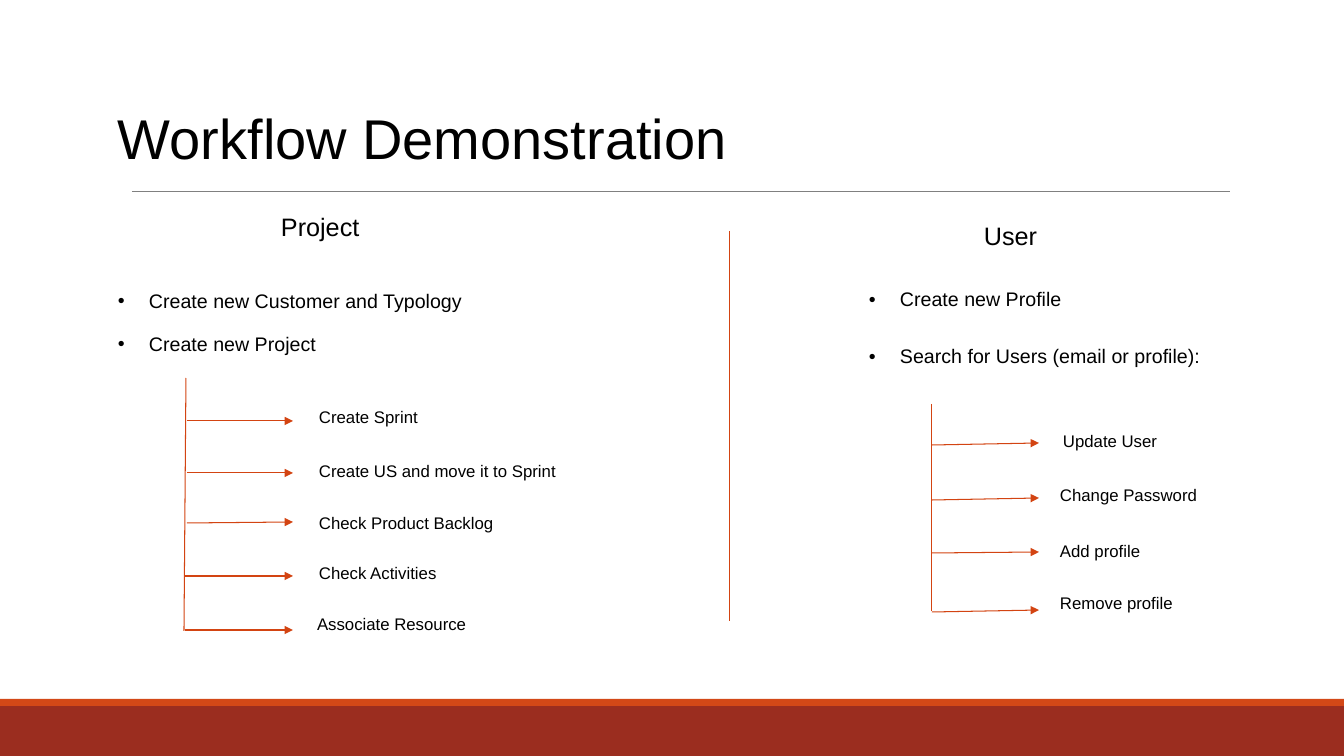
from lxml import etree
from pptx import Presentation
from pptx.dml.color import RGBColor
from pptx.enum.shapes import MSO_CONNECTOR, MSO_SHAPE
from pptx.enum.text import MSO_ANCHOR, MSO_AUTO_SIZE, PP_ALIGN
from pptx.oxml.ns import qn
from pptx.util import Pt

STRAIGHT = MSO_CONNECTOR.STRAIGHT
RECT = MSO_SHAPE.RECTANGLE
MIDDLE = MSO_ANCHOR.MIDDLE
NO_FIT = MSO_AUTO_SIZE.NONE
LEFT = PP_ALIGN.LEFT

BLACK = RGBColor(0x00, 0x00, 0x00)
GREY = RGBColor(0x80, 0x80, 0x80)
ORANGE = RGBColor(0xD3, 0x44, 0x12)
BRIGHT = RGBColor(0xD3, 0x48, 0x17)
BRICK = RGBColor(0x9B, 0x2D, 0x1F)

WIDE, HIGH = 1344, 756
SCALE = 12192000 / WIDE
INDENT = 31
LABEL_H = 51

TITLE = ("Workflow Demonstration", (118, 71, 1109, 140))
BANDS = [((0, 706, WIDE, 50), BRICK), ((0, 699, WIDE, 7), BRIGHT)]
RULES = [((132, 191, 1230, 191), GREY, 0.5), ((730, 231, 730, 621), ORANGE, 0.75)]
FLOWS = [
    {
        "head": ("Project", (281, 198, 290, 61)),
        "items": ["Create new Customer and Typology", "Create new Project"],
        "box": (118, 258, 490, 131),
        "gap": 15.5,
        "trunk": (186, 378, 184, 631),
        "tip": 293,
        "steps": [
            ("Create Sprint", (319, 393, 172), (187, 421, 421)),
            ("Create US and move it to Sprint", (319, 447, 331), (187, 473, 473)),
            ("Check Product Backlog", (319, 499, 198), (187, 523, 522)),
            ("Check Activities", (319, 549, 198), (185, 576, 576)),
            ("Associate Resource", (317, 600, 198), (185, 630, 630)),
        ],
    },
    {
        "head": ("User", (984, 207, 290, 61)),
        "items": ["Create new Profile", "Search for Users (email or profile):"],
        "box": (869, 231, 401, 196),
        "gap": 25.5,
        "trunk": (932, 404, 932, 611),
        "tip": 1039,
        "steps": [
            ("Update User", (1063, 417, 224), (932, 445, 443)),
            ("Change Password", (1060, 471, 224), (932, 500, 498)),
            ("Add profile", (1060, 527, 131), (932, 553, 552)),
            ("Remove profile", (1060, 579, 131), (932, 612, 610)),
        ],
    },
]

FRAME = {
    "word_wrap": True, "auto_size": NO_FIT, "vertical_anchor": MIDDLE,
    "margin_left": 0, "margin_top": 0, "margin_right": 0, "margin_bottom": 0,
}


def px(n):
    return round(n * SCALE)


def apply(obj, form):
    for name, value in form.items():
        setattr(obj, name, value)


def write(shape, lines, size, gap=0, bullet=False):
    frame = shape.text_frame
    frame.text = "\n".join(lines)
    apply(frame, FRAME)
    for i, para in enumerate(frame.paragraphs):
        apply(para, {"alignment": LEFT, "line_spacing": 0.9,
                     "space_before": Pt(gap if i else 0)})
        apply(para.runs[0].font, {"name": "Arial", "size": Pt(size)})
        para.runs[0].font.color.rgb = BLACK
        if bullet:
            props = para._p.get_or_add_pPr()
            props.set("marL", str(px(INDENT)))
            props.set("indent", str(-px(INDENT)))
            etree.SubElement(props, qn("a:buFont")).set("typeface", "Arial")
            etree.SubElement(props, qn("a:buChar")).set("char", "•")


def add_text(slide, lines, box, size, gap=0, bullet=False):
    shape = slide.shapes.add_textbox(*map(px, box))
    write(shape, lines, size, gap, bullet)


def add_line(slide, ends, color=ORANGE, width=0.75, arrow=False):
    line = slide.shapes.add_connector(STRAIGHT, *map(px, ends))
    line.line.color.rgb = color
    line.line.width = Pt(width)
    props = line._element.spPr
    if arrow:
        etree.SubElement(props.find(qn("a:ln")), qn("a:tailEnd")).set("type", "triangle")
    etree.SubElement(props, qn("a:effectLst"))


def add_band(slide, box, color):
    band = slide.shapes.add_shape(RECT, *map(px, box))
    band.shadow.inherit = False
    band.fill.solid()
    band.fill.fore_color.rgb = color
    band.line.fill.background()


def add_flow(slide, flow):
    text, box = flow["head"]
    add_text(slide, [text], box, 18)
    add_text(slide, flow["items"], flow["box"], 14, flow["gap"], True)
    add_line(slide, flow["trunk"])
    for label, place, (start, y1, y2) in flow["steps"]:
        add_line(slide, (start, y1, flow["tip"], y2), arrow=True)
        add_text(slide, [label], (*place, LABEL_H), 12)


def main():
    deck = Presentation()
    apply(deck, {"slide_width": px(WIDE), "slide_height": px(HIGH)})
    slide = deck.slides.add_slide(deck.slide_layouts[5])
    text, box = TITLE
    title = slide.shapes.title
    apply(title, dict(zip(("left", "top", "width", "height"), map(px, box))))
    write(title, [text], 40)
    for box, color in BANDS:
        add_band(slide, box, color)
    for ends, color, width in RULES:
        add_line(slide, ends, color, width)
    for flow in FLOWS:
        add_flow(slide, flow)
    deck.save("out.pptx")


if __name__ == "__main__":
    main()
